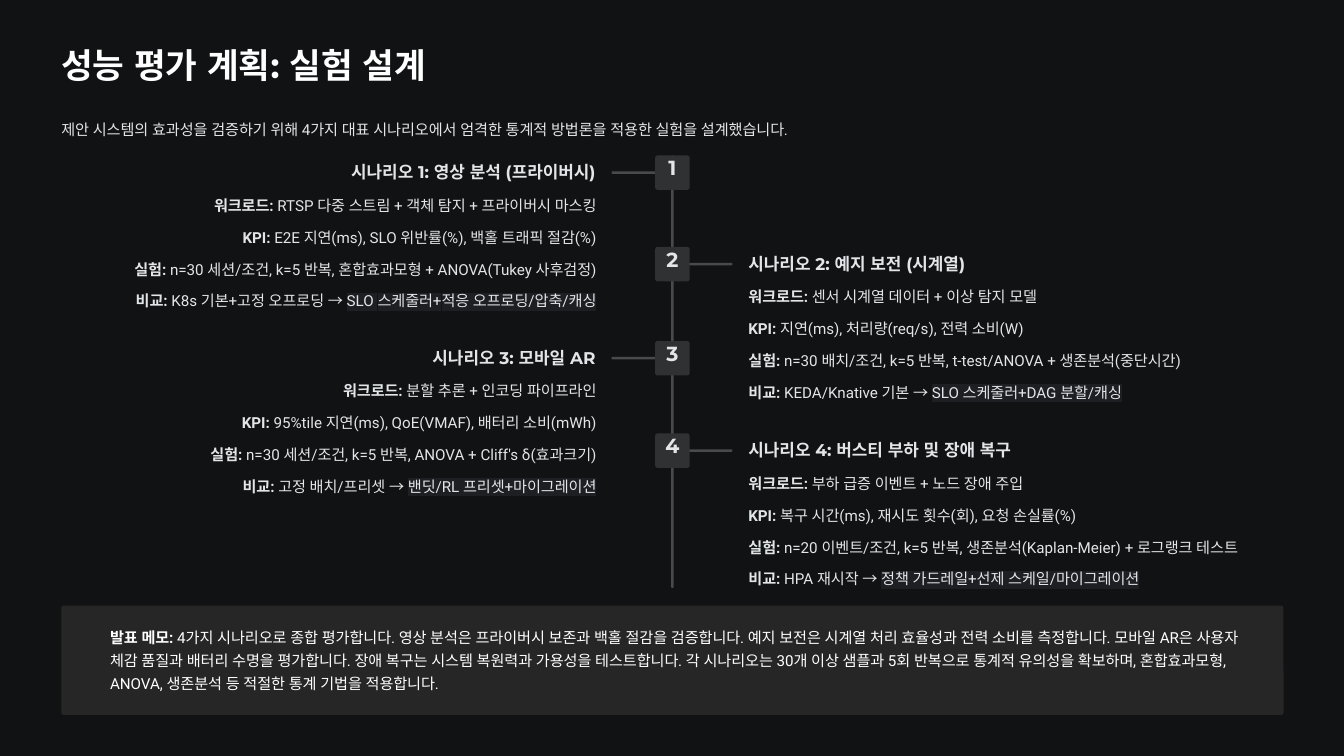
"""Build the experiment design slide with four scenarios on a central timeline."""
from dataclasses import dataclass

from lxml import etree
from pptx import Presentation
from pptx.dml.color import RGBColor
from pptx.enum.shapes import MSO_SHAPE
from pptx.enum.text import MSO_AUTO_SIZE, PP_ALIGN
from pptx.oxml.ns import qn
from pptx.slide import Slide
from pptx.util import Emu, Pt

ROUNDED = MSO_SHAPE.ROUNDED_RECTANGLE
NO_AUTOSIZE = MSO_AUTO_SIZE.NONE
LEFT, CENTER, RIGHT = PP_ALIGN.LEFT, PP_ALIGN.CENTER, PP_ALIGN.RIGHT

BACKGROUND = RGBColor(0x11, 0x12, 0x13)
WHITE = RGBColor(0xFF, 0xFF, 0xFF)
BODY_TEXT = RGBColor(0xE2, 0xE6, 0xE9)
TIMELINE = RGBColor(0x49, 0x4A, 0x4B)
MARKER = RGBColor(0x30, 0x31, 0x32)
MEMO_PANEL = RGBColor(0x26, 0x26, 0x26)
HIGHLIGHT = RGBColor(0x1D, 0x1F, 0x22)

EMU_PER_PX = 9144
MARGIN, CONTENT_WIDTH = 73, 1455
MARKER_LEFT, MARKER_SIZE = 780, 41
RIGHT_COLUMN, ROW_WIDTH, ROW_HEIGHT, ROW_STEP = 891, 637, 27, 38
HEADING_EDGE = 709


@dataclass(frozen=True)
class Style:
    """Typeface, size, line height, colour and weight of a text."""
    font: str
    size: float
    leading: float
    color: RGBColor = BODY_TEXT
    bold: bool = False


@dataclass(frozen=True)
class Span:
    """A run of text with its weight, colour and highlight."""
    text: str
    bold: bool = False
    color: RGBColor = BODY_TEXT
    highlighted: bool = False


@dataclass(frozen=True)
class Scenario:
    """One stop on the timeline."""
    top: int
    heading: str
    heading_width: int
    workload: str
    kpi: str
    experiment: str
    baseline: str
    proposal: str


TITLE = Style("Montserrat", 29.5, 37, WHITE, True)
HEADING = Style("Montserrat", 14.5, 18.5, BODY_TEXT, True)
NUMBER = Style("Montserrat", 17.5, 17.5, BODY_TEXT, True)
BODY = Style("Roboto", 13, 19.5)

SCENARIOS = [
    Scenario(185, "시나리오 1: 영상 분석 (프라이버시)", 298,
             "RTSP 다중 스트림 + 객체 탐지 + 프라이버시 마스킹",
             "E2E 지연(ms), SLO 위반률(%), 백홀 트래픽 절감(%)",
             "n=30 세션/조건, k=5 반복, 혼합효과모형 + ANOVA(Tukey 사후검정)",
             "K8s 기본+고정 오프로딩", "SLO 스케줄러+적응 오프로딩/압축/캐싱"),
    Scenario(294, "시나리오 2: 예지 보전 (시계열)", 264,
             "센서 시계열 데이터 + 이상 탐지 모델",
             "지연(ms), 처리량(req/s), 전력 소비(W)",
             "n=30 배치/조건, k=5 반복, t-test/ANOVA + 생존분석(중단시간)",
             "KEDA/Knative 기본", "SLO 스케줄러+DAG 분할/캐싱"),
    Scenario(406, "시나리오 3: 모바일 AR", 206,
             "분할 추론 + 인코딩 파이프라인",
             "95%tile 지연(ms), QoE(VMAF), 배터리 소비(mWh)",
             "n=30 세션/조건, k=5 반복, ANOVA + Cliff's δ(효과크기)",
             "고정 배치/프리셋", "밴딧/RL 프리셋+마이그레이션"),
    Scenario(516, "시나리오 4: 버스티 부하 및 장애 복구", 320,
             "부하 급증 이벤트 + 노드 장애 주입",
             "복구 시간(ms), 재시도 횟수(회), 요청 손실률(%)",
             "n=20 이벤트/조건, k=5 반복, 생존분석(Kaplan-Meier) + 로그랭크 테스트",
             "HPA 재시작", "정책 가드레일+선제 스케일/마이그레이션"),
]
MEMO = (" 4가지 시나리오로 종합 평가합니다. 영상 분석은 프라이버시 보존과 백홀 절감을 검증합니다. "
        "예지 보전은 시계열 처리 효율성과 전력 소비를 측정합니다. "
        "모바일 AR은 사용자 체감 품질과 배터리 수명을 평가합니다. "
        "장애 복구는 시스템 복원력과 가용성을 테스트합니다. "
        "각 시나리오는 30개 이상 샘플과 5회 반복으로 통계적 유의성을 확보하며, "
        "혼합효과모형, ANOVA, 생존분석 등 적절한 통계 기법을 적용합니다.")


def px(length: int) -> Emu:
    """Convert px to EMU."""
    return Emu(length * EMU_PER_PX)


def add_block(page: Slide, left: int, top: int, width: int, height: int,
              color: RGBColor, rounding: float) -> None:
    """Draw a plain rounded rectangle."""
    block = page.shapes.add_shape(ROUNDED, px(left), px(top), px(width), px(height))
    block.adjustments[0] = rounding
    block.fill.solid()
    block.fill.fore_color.rgb = color
    block.line.fill.background()
    block.shadow.inherit = False


def add_spans(page: Slide, left: int, top: int, width: int, height: int, spans: list[Span],
              style: Style, align: PP_ALIGN = LEFT, wrap: bool = False) -> None:
    """Draw one paragraph of spans in a text box without insets."""
    box = page.shapes.add_textbox(px(left), px(top), px(width), px(height))
    frame = box.text_frame
    frame.margin_left = frame.margin_top = frame.margin_right = frame.margin_bottom = 0
    frame.word_wrap = wrap
    frame.auto_size = NO_AUTOSIZE
    para = frame.paragraphs[0]
    para.alignment = align
    para.line_spacing = Pt(style.leading)
    for span in spans:
        run = para.add_run()
        run.text = span.text
        run.font.name = style.font
        run.font.size = Pt(style.size)
        run.font.bold = span.bold
        run.font.color.rgb = span.color
        properties = run.font._element
        latin = properties.find(qn("a:latin"))
        east_asian = etree.Element(qn("a:ea"), typeface=style.font)
        latin.addnext(east_asian)
        if span.highlighted:
            highlight = etree.Element(qn("a:highlight"))
            etree.SubElement(highlight, qn("a:srgbClr"), val=str(HIGHLIGHT))
            latin.addprevious(highlight)


def add_label(page: Slide, left: int, top: int, width: int, height: int, text: str,
              style: Style, align: PP_ALIGN = LEFT) -> None:
    """Draw a text in a single style."""
    add_spans(page, left, top, width, height,
              [Span(text, style.bold, style.color)], style, align)


def add_scenario(page: Slide, number: int, scenario: Scenario) -> None:
    """Draw a numbered marker with its heading and rows, odd ones on the left."""
    on_left = number % 2 == 1
    align = RIGHT if on_left else LEFT
    top = scenario.top
    add_block(page, 728 if on_left else 818, top + 19, 54, 3, TIMELINE, 0.5)
    add_block(page, MARKER_LEFT, top, MARKER_SIZE, MARKER_SIZE, MARKER, 0.07)
    add_label(page, MARKER_LEFT + 8, top + 5, 25, 31, str(number), NUMBER, CENTER)
    heading_left = HEADING_EDGE - scenario.heading_width if on_left else RIGHT_COLUMN
    add_label(page, heading_left, top + 6, scenario.heading_width, 26,
              scenario.heading, HEADING, align)
    rows = [
        [Span("워크로드:", True), Span(f" {scenario.workload}")],
        [Span("KPI:", True), Span(f" {scenario.kpi}")],
        [Span("실험:", True), Span(f" {scenario.experiment}")],
        [Span("비교:", True), Span(f" {scenario.baseline} → "),
         Span(scenario.proposal, highlighted=True)],
    ]
    for index, spans in enumerate(rows):
        add_spans(page, MARGIN if on_left else RIGHT_COLUMN, top + 43 + index * ROW_STEP,
                  ROW_WIDTH, ROW_HEIGHT, spans, BODY, align)


def main() -> None:
    """Build and save the deck."""
    deck = Presentation()
    deck.slide_width, deck.slide_height = px(1600), px(900)
    page = deck.slides.add_slide(deck.slide_layouts[6])
    page.background.fill.solid()
    page.background.fill.fore_color.rgb = BACKGROUND
    add_label(page, MARGIN, 50, 437, 52, "성능 평가 계획: 실험 설계", TITLE)
    add_label(page, MARGIN, 138, CONTENT_WIDTH, ROW_HEIGHT,
              "제안 시스템의 효과성을 검증하기 위해 4가지 대표 시나리오에서 "
              "엄격한 통계적 방법론을 적용한 실험을 설계했습니다.", BODY)
    add_block(page, 799, 185, 3, 515, TIMELINE, 0.5)
    for number, scenario in enumerate(SCENARIOS, 1):
        add_scenario(page, number, scenario)
    add_block(page, MARGIN, 721, CONTENT_WIDTH, 130, MEMO_PANEL, 0.02)
    add_spans(page, 131, 743, 1378, 82,
              [Span("발표 메모:", True, WHITE), Span(MEMO, color=WHITE)], BODY, wrap=True)
    deck.save("out.pptx")


if __name__ == "__main__":
    main()
